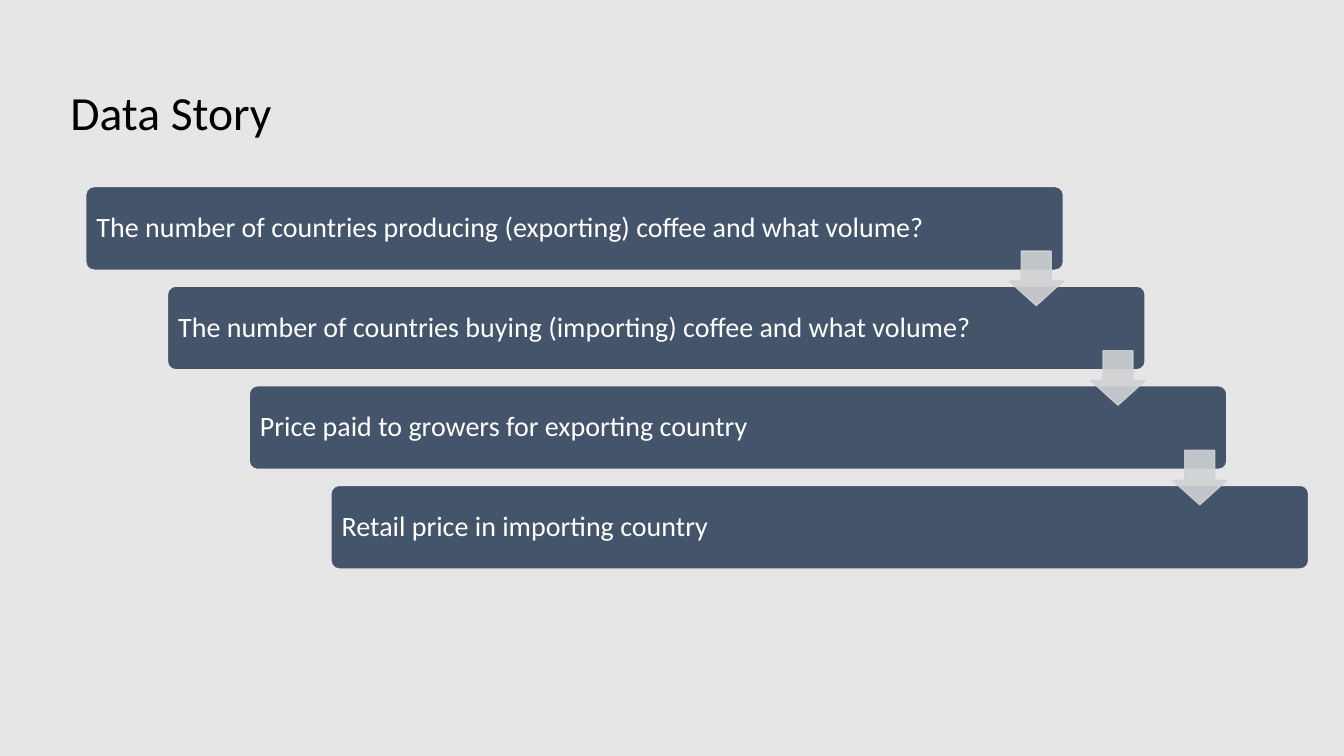
"""Build the Data Story slide: four staggered steps joined by down arrows."""
from lxml import etree
from pptx import Presentation
from pptx.dml.color import RGBColor
from pptx.enum.shapes import MSO_SHAPE
from pptx.enum.text import MSO_ANCHOR, PP_ALIGN
from pptx.oxml.ns import qn
from pptx.util import Cm, Pt

ROUND_RECT = MSO_SHAPE.ROUNDED_RECTANGLE
DOWN_ARROW = MSO_SHAPE.DOWN_ARROW
LEFT = PP_ALIGN.LEFT
MIDDLE = MSO_ANCHOR.MIDDLE

COLORS = {"background": "E7E6E6", "step": "44546A", "arrow": "CFD1D4",
          "title": "000000", "text": "FFFFFF"}
STEPS = [
    "The number of countries producing (exporting) coffee and what volume?",
    "The number of countries buying (importing) coffee and what volume?",
    "Price paid to growers for exporting country",
    "Retail price in importing country",
]
STEP_LEFT, STEP_TOP = 2.16, 4.7
STEP_WIDTH, STEP_HEIGHT = 24.64, 2.11
SHIFT_X, SHIFT_Y = 2.06, 2.51
ARROW_SIZE = 1.37
ARROW_DX, ARROW_DY = STEP_WIDTH - ARROW_SIZE, 1.63


def add_block(kind, left, top, width, height, fill, line):
    sp = s.shapes.add_shape(kind, Cm(left), Cm(top), Cm(width), Cm(height))
    sp.shadow.inherit = False
    sp.fill.solid()
    sp.fill.fore_color.rgb = RGBColor.from_string(COLORS[fill])
    sp.line.color.rgb = RGBColor.from_string(COLORS[line])
    sp.line.width = Pt(1)
    return sp


def format_text(tf, size, color):
    tf.word_wrap = True
    tf.vertical_anchor = MIDDLE
    p = tf.paragraphs[0]
    p.alignment = LEFT
    p.line_spacing = 0.9
    p.font.name = "Calibri"
    p.font.size = Pt(size)
    p.font.color.rgb = RGBColor.from_string(COLORS[color])


prs = Presentation()
prs.slide_width, prs.slide_height = Cm(33.87), Cm(19.05)
s = prs.slides.add_slide(prs.slide_layouts[5])
s.background.fill.solid()
s.background.fill.fore_color.rgb = RGBColor.from_string(COLORS["background"])

title = s.shapes.title
title.left, title.top = Cm(1.52), Cm(1.52)
title.width, title.height = Cm(20.3), Cm(2.74)
title.text_frame.text = "Data Story"
format_text(title.text_frame, 34, "title")

for i, text in enumerate(STEPS):
    sp = add_block(ROUND_RECT, STEP_LEFT + i * SHIFT_X, STEP_TOP + i * SHIFT_Y,
                   STEP_WIDTH, STEP_HEIGHT, "step", "background")
    sp.adjustments[0] = 0.1
    tf = sp.text_frame
    tf.margin_left = tf.margin_right = Cm(0.21)
    tf.margin_top = tf.margin_bottom = Cm(0.21)
    tf.text = text
    format_text(tf, 20, "text")

for i in range(len(STEPS) - 1):
    sp = add_block(DOWN_ARROW, STEP_LEFT + ARROW_DX + i * SHIFT_X,
                   STEP_TOP + ARROW_DY + i * SHIFT_Y,
                   ARROW_SIZE, ARROW_SIZE, "arrow", "arrow")
    sp.adjustments[0] = 0.55
    sp.adjustments[1] = 0.45
    for color in sp.element.spPr.iter(qn("a:srgbClr")):
        etree.SubElement(color, qn("a:alpha")).set("val", "90000")

prs.save("out.pptx")
